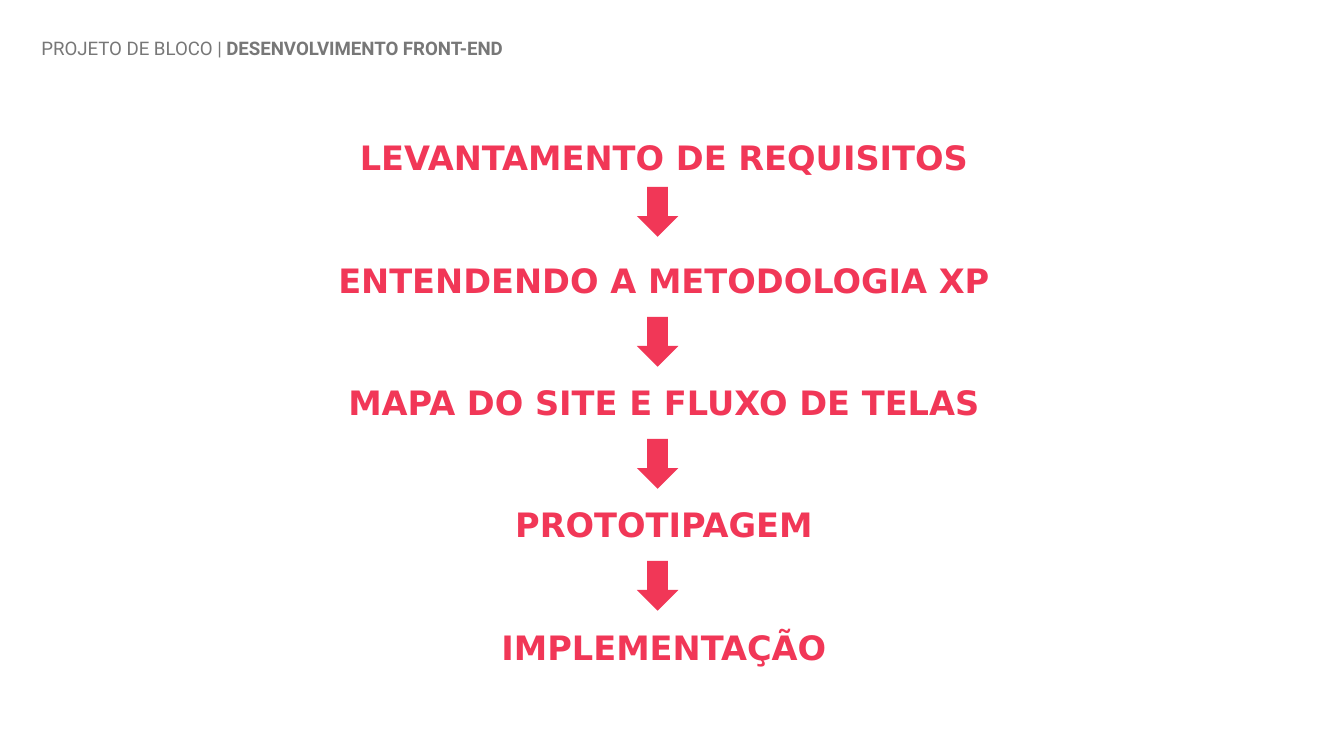
from pptx import Presentation
from pptx.dml.color import RGBColor
from pptx.enum.shapes import MSO_SHAPE
from pptx.enum.text import MSO_ANCHOR, PP_ALIGN
from pptx.util import Pt

DOWN_ARROW = MSO_SHAPE.DOWN_ARROW
TOP = MSO_ANCHOR.TOP
LEFT, CENTER = PP_ALIGN.LEFT, PP_ALIGN.CENTER

GREY = RGBColor(0x77, 0x77, 0x77)
RED = RGBColor(0xF1, 0x37, 0x57)

STEPS = [
    "LEVANTAMENTO DE REQUISITOS",
    "ENTENDENDO A METODOLOGIA XP",
    "MAPA DO SITE E FLUXO DE TELAS",
    "PROTOTIPAGEM",
    "IMPLEMENTAÇÃO",
]
ARROW_TOPS = [100.2, 169.8, 235.2, 300.5]


def add_text(s, box, paragraphs, *, font, size, color, align=LEFT,
             gap=0, inset_top=7.2):
    """Each paragraph is a list of (text, bold) runs."""
    tf = s.shapes.add_textbox(*map(Pt, box)).text_frame
    tf.word_wrap = True
    tf.vertical_anchor = TOP
    tf.margin_left = tf.margin_right = tf.margin_bottom = Pt(7.2)
    tf.margin_top = Pt(inset_top)
    for i, runs in enumerate(paragraphs):
        p = tf.add_paragraph() if i else tf.paragraphs[0]
        p.alignment = align
        p.space_before = Pt(gap if i else 0)
        for text, bold in runs:
            r = p.add_run()
            r.text = text
            r.font.name = font
            r.font.size = Pt(size)
            r.font.bold = bold
            r.font.color.rgb = color


def add_arrow(s, top):
    sp = s.shapes.add_shape(DOWN_ARROW, Pt(341.2), Pt(top), Pt(22.2), Pt(26.7))
    sp.shadow.inherit = False
    sp.fill.solid()
    sp.fill.fore_color.rgb = RED
    sp.line.fill.background()


def main():
    prs = Presentation()
    prs.slide_width, prs.slide_height = Pt(720), Pt(405)
    s = prs.slides.add_slide(prs.slide_layouts[6])

    # Header
    add_text(s, (15.1, 13.7, 357, 30.2),
             [[("PROJETO DE BLOCO | ", False),
               ("DESENVOLVIMENTO FRONT-END", True)]],
             font="Roboto", size=10, color=GREY)

    # Project steps
    add_text(s, (35.3, 64.8, 640.8, 309.6), [[(step, True)] for step in STEPS],
             font="DejaVu Sans", size=18, color=RED, align=CENTER,
             gap=43.9, inset_top=8.8)

    # Arrows between steps
    for top in ARROW_TOPS:
        add_arrow(s, top)

    prs.save("out.pptx")


if __name__ == "__main__":
    main()
